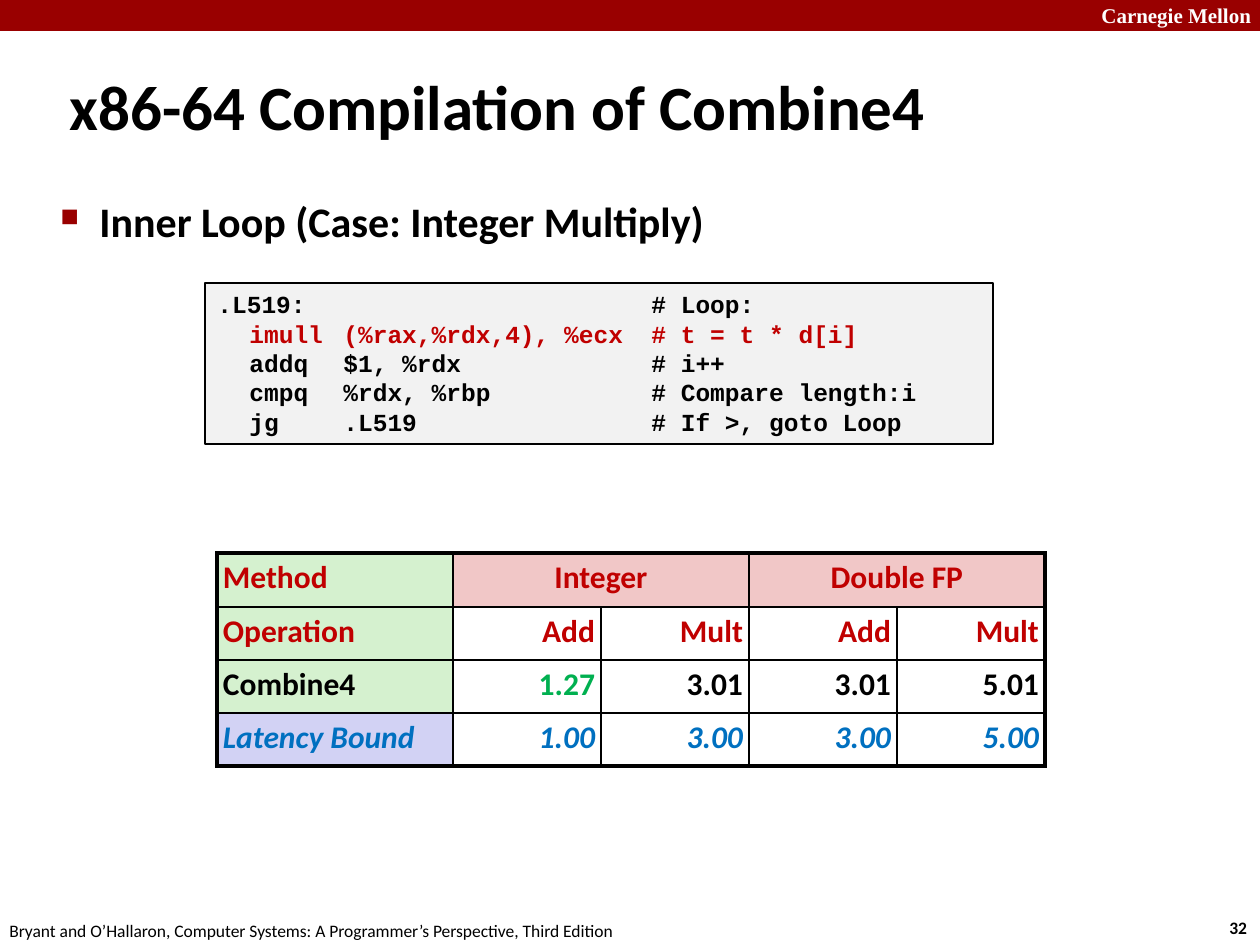
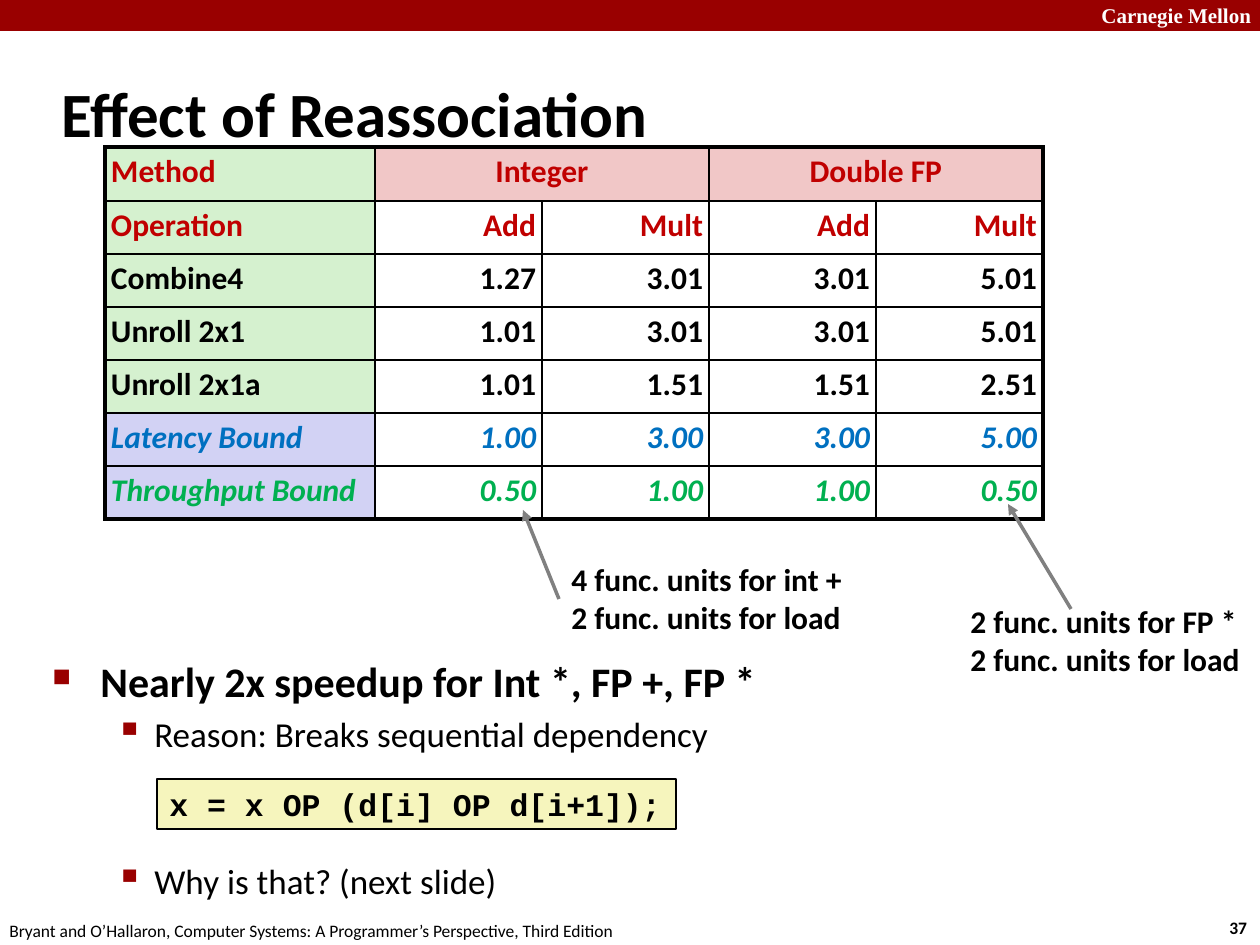
from lxml import etree
from pptx import Presentation
from pptx.dml.color import RGBColor
from pptx.enum.shapes import MSO_CONNECTOR, MSO_SHAPE
from pptx.enum.text import MSO_ANCHOR, PP_ALIGN
from pptx.oxml.ns import qn
from pptx.util import Emu, Pt

RECT, LINE = MSO_SHAPE.RECTANGLE, MSO_CONNECTOR.STRAIGHT
TOP, MID = MSO_ANCHOR.TOP, MSO_ANCHOR.MIDDLE
LEFT, MIDDLE, RIGHT = PP_ALIGN.LEFT, PP_ALIGN.CENTER, PP_ALIGN.RIGHT

SANS, MONO, SERIF = "Calibri", "Courier New", "Times New Roman"
BLACK, WHITE, GRAY = "000000", "FFFFFF", "808080"
BRAND, RED, GREEN, BLUE = "990000", "C00000", "00B050", "0070C0"
MINT, PINK, LILAC = "D5F1CF", "F1C7C7", "D2D2F4"
SILVER, CREAM = "F2F2F2", "F6F5BD"

# Bullet levels: sign, sign size in percent, text size, bold
LEVELS = [("■", 60, 24, True), ("▪", 110, 20, False)]


def px(n):
    return Emu(round(n * 914400 / 126))


def color(code):
    return RGBColor.from_string(code)


def node(parent, tag, **attrs):
    """Append one drawing element with the given attributes."""
    item = etree.SubElement(parent, qn(tag))
    for key, value in attrs.items():
        item.set(key, str(value))
    return item


def style(para, size, face=SANS, tint=BLACK, bold=True, italic=False):
    font = para.font
    font.size, font.name = Pt(size), face
    font.bold, font.italic = bold, italic
    font.color.rgb = color(tint)


# Text and boxes

def write(slide, box, lines, size, wrap=True, anchor=TOP, **look):
    frame = slide.shapes.add_textbox(*map(px, box))
    text = frame.text_frame
    text.word_wrap, text.vertical_anchor = wrap, anchor
    text.text = "\n".join(lines)
    for para in text.paragraphs:
        style(para, size, **look)
    return frame


def block(slide, box, fill, edge=None):
    shape = slide.shapes.add_shape(RECT, *map(px, box))
    shape.shadow.inherit = False
    shape.fill.solid()
    shape.fill.fore_color.rgb = color(fill)
    if edge:
        shape.line.color.rgb = color(edge)
        shape.line.width = Pt(1)
    else:
        shape.line.fill.background()
    return shape


def code(slide, box, fill, lines, size, tabs=(), wrap=True):
    """Draw a code box; lines are pairs of text and colour."""
    text = block(slide, box, fill, BLACK).text_frame
    text.word_wrap, text.vertical_anchor = wrap, TOP
    text.text = "\n".join(line for line, _ in lines)
    for para, (_, tint) in zip(text.paragraphs, lines):
        para.alignment = LEFT
        if tabs:
            stops = node(para._p.get_or_add_pPr(), "a:tabLst")
            for stop in tabs:
                node(stops, "a:tab", pos=px(stop), algn="l")
        style(para, size, MONO, tint)


def points(slide, box, items, hangs):
    """Write bullets; items are level, text and space before in points."""
    text = slide.shapes.add_textbox(*map(px, box)).text_frame
    text.word_wrap = True
    text.text = "\n".join(line for _, line, _ in items)
    for para, (level, _, gap) in zip(text.paragraphs, items):
        sign, scale, size, bold = LEVELS[level]
        margin, hang = hangs[level]
        para.level = level
        para.space_before = Pt(gap)
        props = para._p.get_or_add_pPr()
        props.set("marL", str(px(margin)))
        props.set("indent", str(px(-hang)))
        node(node(props, "a:buClr"), "a:srgbClr", val=BRAND)
        node(props, "a:buSzPct", val=scale * 1000)
        node(props, "a:buChar", char=sign)
        style(para, size, bold=bold)


def arrow(slide, start, end, note=None):
    """Draw an arrow, joined to the left side of a note if one is given."""
    line = slide.shapes.add_connector(LINE, *map(px, start + end))
    if note:
        line.begin_connect(note, 1)
    line.line.color.rgb = color(GRAY)
    line.line.width = Pt(2)
    node(line.line._get_or_add_ln(), "a:tailEnd", type="triangle")
    node(line._element.spPr, "a:effectLst")


# Tables

def border(cell, thick):
    """Put black lines round a cell; thick names the heavy sides."""
    props = cell._tc.get_or_add_tcPr()
    for spot, side in enumerate("LRTB"):
        width = Pt(2.25 if side in thick else 1)
        line = etree.Element(qn("a:ln" + side), w=str(width))
        node(node(line, "a:solidFill"), "a:srgbClr", val=BLACK)
        props.insert(spot, line)


def fill(cell, tint):
    if tint:
        cell.fill.solid()
        cell.fill.fore_color.rgb = color(tint)
    else:
        cell.fill.background()


def grid(slide, left, top, first, other, rows, marks=()):
    """Draw cycle counts; rows are name, values and colour.

    Cells in marks, as (row, column), show green.
    """
    heads = [("Method", ["Integer", "", "Double FP", ""], RED),
             ("Operation", ["Add", "Mult"] * 2, RED)]
    rows = heads + rows
    last = len(rows) - 1
    frame = slide.shapes.add_table(
        len(rows), 5, px(left), px(top),
        px(first + 4 * other), px(53 * len(rows) + 1))
    table = frame.table
    for c, col in enumerate(table.columns):
        col.width = px(other if c else first)
    for r, row in enumerate(table.rows):
        row.height = px(53 if r else 54)
    for c in (1, 3):
        table.cell(0, c).merge(table.cell(0, c + 1))

    for r, (name, values, tint) in enumerate(rows):
        bound = name.endswith("Bound")
        for c, value in enumerate([name] + values):
            cell = table.cell(r, c)
            cell.margin_left = cell.margin_right = px(6)
            cell.margin_top = cell.margin_bottom = px(6)
            if c == 0:
                fill(cell, LILAC if bound else MINT)
            else:
                fill(cell, None if r else PINK)
            edges = {"L": c == 0, "R": c == 4 or (r == 0 and c == 3),
                     "T": r == 0, "B": r == last}
            border(cell, [side for side, on in edges.items() if on])
            if cell.is_spanned:
                continue
            cell.text = value
            para = cell.text_frame.paragraphs[0]
            para.line_spacing = 0.95
            para.alignment = (RIGHT if r else MIDDLE) if c else LEFT
            style(para, 18, tint=GREEN if (r, c) in marks else tint,
                  italic=bound)


# Slide frame

def page(deck, number, title, left, top):
    slide = deck.slides.add_slide(deck.slide_layouts[6])
    block(slide, (0, 0, 1260, 31), BRAND)
    write(slide, (1089, -4, 180, 38), ["Carnegie Mellon"], 12,
          face=SERIF, tint=WHITE)
    write(slide, (1217, 911, 47, 34), [number], 10, wrap=False)
    write(slide, (-3, 914, 640, 34),
          ["Bryant and O’Hallaron, Computer Systems: "
           "A Programmer’s Perspective, Third Edition"],
          10, wrap=False, bold=False)
    write(slide, (left, top, 1046, 105), [title], 36, anchor=MID)
    return slide


def compiled(deck):
    slide = page(deck, "32", "x86-64 Compilation of Combine4", 57, 53)
    points(slide, (48, 189, 1138, 95),
           [(0, "Inner Loop (Case: Integer Multiply)", 0)], [(39, 39)])
    code(slide, (205, 283, 788, 161), SILVER, [
        (".L519:\t\t# Loop:", BLACK),
        ("\timull\t(%rax,%rdx,4), %ecx\t# t = t * d[i]", RED),
        ("\taddq\t$1, %rdx\t# i++", BLACK),
        ("\tcmpq\t%rdx, %rbp\t# Compare length:i", BLACK),
        ("\tjg\t.L519\t# If >, goto Loop", BLACK),
    ], 14, tabs=(32, 126, 434))
    grid(slide, 217, 553, 236, 148, [
        ("Combine4", ["1.27", "3.01", "3.01", "5.01"], BLACK),
        ("Latency Bound", ["1.00", "3.00", "3.00", "5.00"], BLUE),
    ], marks=[(2, 1)])


def effect(deck):
    slide = page(deck, "37", "Effect of Reassociation", 49, 60)
    points(slide, (40, 649, 1145, 239), [
        (0, "Nearly 2x speedup for Int *, FP +, FP *", 0),
        (1, "Reason: Breaks sequential dependency", 4),
        (1, "Why is that? (next slide)", 60),
    ], [(48, 48), (102, 39)])
    code(slide, (157, 779, 519, 50), CREAM,
         [("x = x OP (d[i] OP d[i+1]);", BLACK)], 18, wrap=False)
    grid(slide, 105, 147, 270, 167, [
        ("Combine4", ["1.27", "3.01", "3.01", "5.01"], BLACK),
        ("Unroll 2x1", ["1.01", "3.01", "3.01", "5.01"], BLACK),
        ("Unroll 2x1a", ["1.01", "1.51", "1.51", "2.51"], BLACK),
        ("Latency Bound", ["1.00", "3.00", "3.00", "5.00"], BLUE),
        ("Throughput Bound", ["0.50", "1.00", "1.00", "0.50"], GREEN),
    ])

    # Notes on the functional units
    load = "2 func. units for load"
    write(slide, (958, 596, 302, 90), ["2 func. units for FP *", load],
          18, wrap=False)
    arrow(slide, (1071, 609), (1008, 504))
    note = write(slide, (559, 554, 302, 90),
                 ["4 func. units for int +", load], 18, wrap=False)
    arrow(slide, (559, 599), (523, 510), note)


def main():
    deck = Presentation()
    deck.slide_width, deck.slide_height = px(1260), px(945)
    compiled(deck)
    effect(deck)
    deck.save("out.pptx")


if __name__ == "__main__":
    main()
